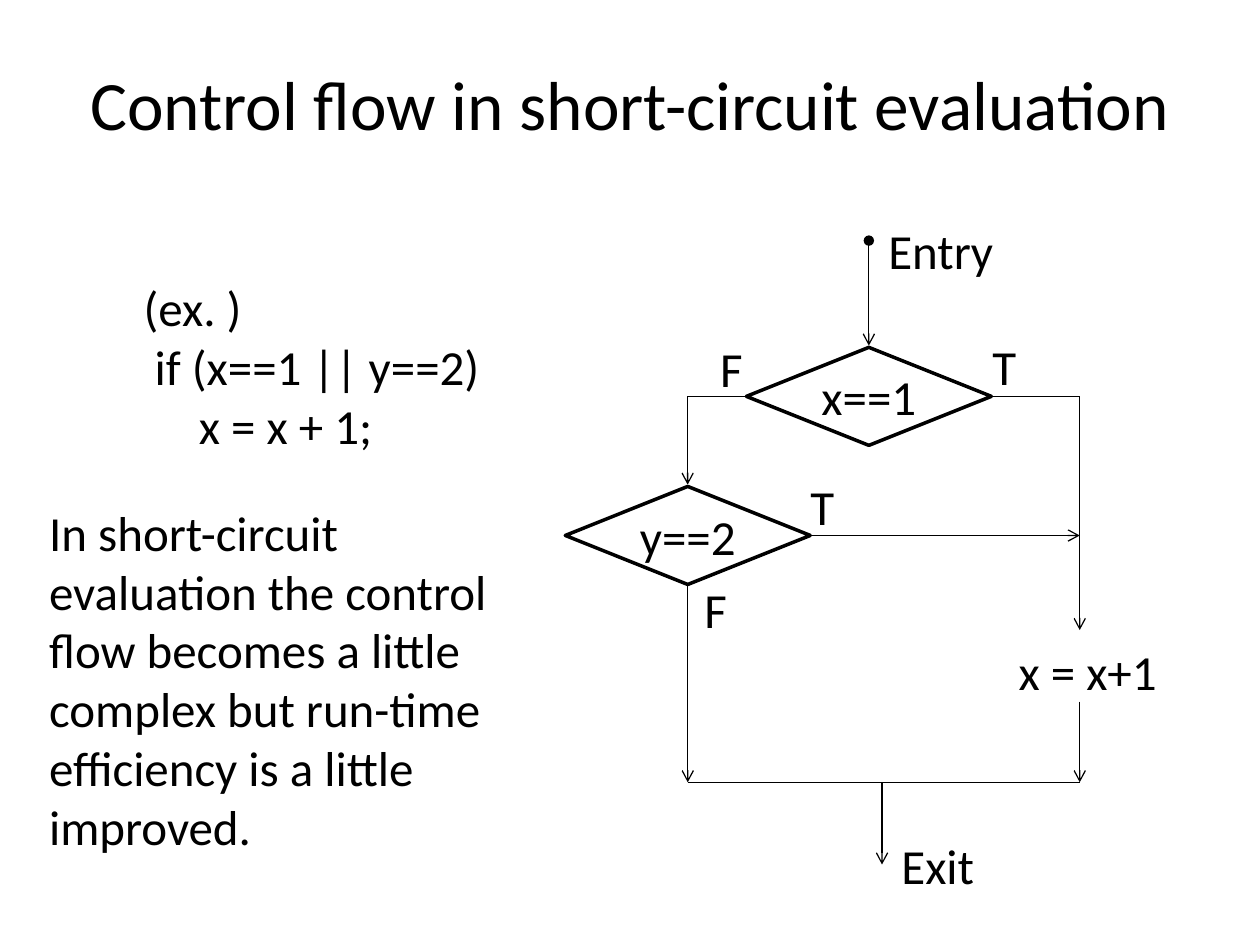
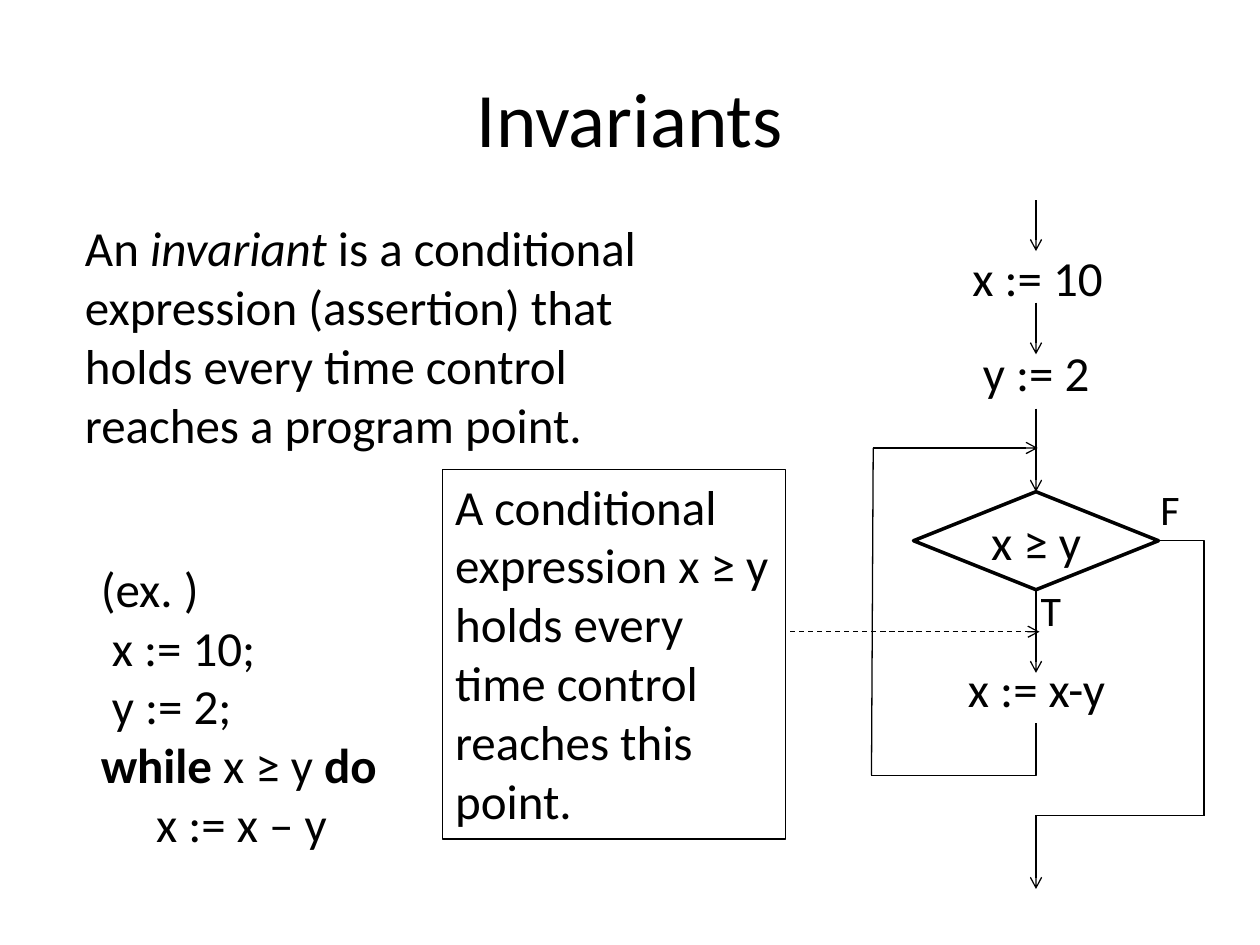
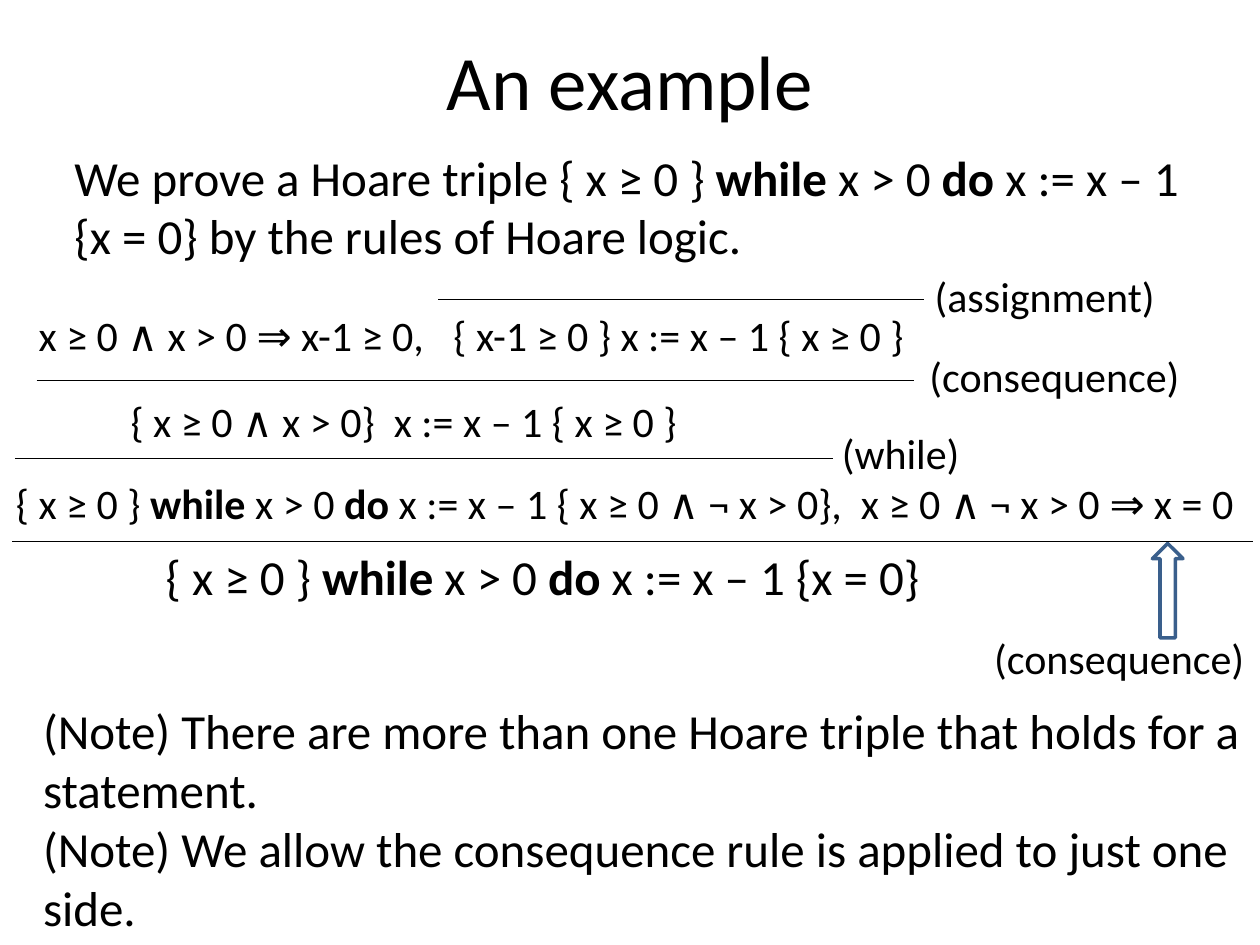
from dataclasses import dataclass

from lxml import etree
from pptx import Presentation
from pptx.dml.color import RGBColor
from pptx.enum.dml import MSO_LINE
from pptx.enum.shapes import MSO_CONNECTOR, MSO_SHAPE
from pptx.enum.text import MSO_ANCHOR, MSO_AUTO_SIZE, PP_ALIGN
from pptx.oxml.ns import qn
from pptx.util import Pt

STRAIGHT, ELBOW = MSO_CONNECTOR.STRAIGHT, MSO_CONNECTOR.ELBOW
DIAMOND, UP_ARROW = MSO_SHAPE.DIAMOND, MSO_SHAPE.UP_ARROW
DASH = MSO_LINE.DASH
MIDDLE = MSO_ANCHOR.MIDDLE
LEFT, CENTER = PP_ALIGN.LEFT, PP_ALIGN.CENTER
FIT_SHAPE = MSO_AUTO_SIZE.SHAPE_TO_FIT_TEXT


@dataclass(frozen=True)
class Theme:
    font: str = "Calibri"
    ink: RGBColor = RGBColor(0, 0, 0)
    accent: RGBColor = RGBColor(0x3A, 0x5F, 0x8C)
    title: float = 44
    long_title: float = 39.6
    body: float = 28
    small: float = 24
    thin: float = 0.75
    thick: float = 2


THEME = Theme()
WHILE, DO = ("while", "bold"), ("do", "bold")


def write(tf, paragraphs, size, align=LEFT):
    """Fill a text frame; a paragraph is a string or a list of strings and (text, style) runs."""
    for i, runs in enumerate(paragraphs):
        p = tf.paragraphs[0] if i == 0 else tf.add_paragraph()
        p.alignment = align
        for run in [runs] if isinstance(runs, str) else runs:
            text, style = (run, None) if isinstance(run, str) else run
            r = p.add_run()
            r.text = text
            r.font.name, r.font.size = THEME.font, Pt(size)
            r.font.color.rgb = THEME.ink
            r.font.bold, r.font.italic = style == "bold", style == "italic"


class Region:
    """Part of a slide whose objects are placed relative to its left top corner."""

    def __init__(self, slide, left=0, top=0):
        self.shapes, self.left, self.top = slide.shapes, left, top

    def place(self, x, y):
        return Pt(self.left + x), Pt(self.top + y)

    def text(self, x, y, width, *paragraphs, size=THEME.body, height=None,
             wrap=False, align=LEFT, border=False):
        height = height or len(paragraphs) * size * 1.22 + 7
        s = self.shapes.add_textbox(*self.place(x, y), Pt(width), Pt(height))
        s.text_frame.word_wrap = wrap
        s.text_frame.auto_size = FIT_SHAPE
        write(s.text_frame, paragraphs, size, align)
        if border:
            s.line.color.rgb, s.line.width = THEME.ink, Pt(THEME.thin)

    def outline(self, kind, x, y, width, height, color):
        s = self.shapes.add_shape(kind, *self.place(x, y), Pt(width), Pt(height))
        s.shadow.inherit = False
        s.fill.background()
        s.line.color.rgb, s.line.width = color, Pt(THEME.thick)
        return s

    def decision(self, x, y, width, height, label):
        tf = self.outline(DIAMOND, x, y, width, height, THEME.ink).text_frame
        tf.word_wrap, tf.vertical_anchor = False, MIDDLE
        write(tf, [label], THEME.body, CENTER)

    def line(self, x1, y1, x2, y2, head=None, tail=None, dash=None, kind=STRAIGHT):
        c = self.shapes.add_connector(kind, *self.place(x1, y1), *self.place(x2, y2))
        c.line.color.rgb, c.line.width = THEME.ink, Pt(THEME.thin)
        if dash:
            c.line.dash_style = dash
        ln = c.line._get_or_add_ln()
        for tag, end in (("a:headEnd", head), ("a:tailEnd", tail)):
            if end:
                etree.SubElement(ln, qn(tag), type=end)
        props = c._element.spPr
        etree.SubElement(props, qn("a:effectLst"))
        return props

    def arrow(self, x1, y1, x2, y2, **ends):
        self.line(x1, y1, x2, y2, tail="arrow", **ends)

    def elbow(self, x1, y1, x2, y2, tail=None):
        """One bend: first across, then up or down."""
        props = self.line(x1, y1, x2, y2, tail=tail, kind=ELBOW)
        props.find(qn("a:prstGeom")).set("prst", "bentConnector2")


def add_slide(prs, title, top, height, size=THEME.title):
    slide = prs.slides.add_slide(prs.slide_layouts[6])
    s = slide.shapes.add_textbox(Pt(36), Pt(top), Pt(648), Pt(height))
    s.text_frame.word_wrap = True
    s.text_frame.vertical_anchor = MIDDLE
    write(s.text_frame, [title], size, CENTER)
    return slide


def short_circuit_chart(slide, left, top):
    chart = Region(slide, left, top)
    width, height = 140, 56
    x_mid, x_top = 173.5, 76.5
    y_mid, y_top = 70, 156
    x_row, y_row = x_top + height / 2, y_top + height / 2
    trunk, merge, exit_x = 294, 325, 181

    chart.arrow(x_mid, 15.5, x_mid, x_top - 1, head="oval")
    chart.decision(x_mid - width / 2, x_top, width, height, "x==1")
    chart.elbow(x_mid - width / 2, x_row, y_mid, y_top - 1, tail="arrow")
    chart.line(x_mid + width / 2, x_row, trunk, x_row)
    chart.arrow(trunk, x_row, trunk, 238)
    chart.decision(y_mid - width / 2, y_top, width, height, "y==2")
    chart.arrow(y_mid + width / 2, y_row, trunk, y_row)
    chart.arrow(y_mid, y_top + height, y_mid, merge)
    chart.arrow(trunk, 279, trunk, merge)
    chart.line(y_mid, merge, trunk, merge)
    chart.arrow(exit_x, merge, exit_x, 372)
    for x, y, w, label in (
        (177.5, 0.5, 76, "Entry"), (185, 352, 57, "Exit"),
        (81.5, 68, 27.5, "F"), (237, 66.5, 28, "T"),
        (133, 146.5, 28, "T"), (72.5, 205.5, 27.5, "F"),
        (252, 241, 94.5, "x = x+1"),
    ):
        chart.text(x, y, w, label)


def while_loop_chart(slide, left, top):
    chart = Region(slide, left, top)
    mid, width, height, test_top = 94, 140, 56, 167
    test_row, test_bottom = test_top + height / 2, test_top + height
    right, loop_top, loop_bottom, exit_row = 190, 142, 329, 352

    for start, end in ((0.5, 29.5), (59, 88.5), (119.5, test_top),
                       (test_bottom, 270.5), (exit_row, 394)):
        chart.arrow(mid, start, mid, end)
    chart.decision(mid - width / 2, test_top, width, height, "x ≥ y")
    chart.elbow(mid + width / 2, test_row, right, exit_row)
    chart.line(right, exit_row, mid, exit_row)
    chart.elbow(0, loop_bottom, mid, 299)
    chart.line(0, loop_bottom, 1, loop_top)
    chart.arrow(1, loop_top, mid + 1, loop_top)
    for x, y, w, label in ((50.5, 24, 90, "x := 10"), (56.5, 78, 76, "y := 2"),
                           (48, 259, 95, "x := x-y")):
        chart.text(x, y, w, label)
    for x, y, label in ((89.5, 216.5, "T"), (158, 159, "F")):
        chart.text(x, y, 26.5, label, size=THEME.small)


def loop_note(slide, left, top):
    note = Region(slide, left, top)
    note.text(0, 0, 196, "A conditional expression x ≥ y holds every time "
              "control reaches this point.", height=211, wrap=True, border=True)
    note.arrow(198.5, 92.5, 341, 92.5, dash=DASH)


def proof_tree(slide, left, top):
    proof = Region(slide, left, top)
    for x1, x2, y in ((250.5, 528, 21), (21, 522, 67.5), (8.5, 476, 112), (7, 716, 159.5)):
        proof.line(x1, y, x2, y)
    for x, y, w, formula in (
        (15, 23.5, 250.5, "x ≥ 0 ∧ x > 0 ⇒ x-1 ≥ 0,"),
        (252, 23.5, 278, "{ x-1 ≥ 0 } x := x – 1 { x ≥ 0 }"),
        (67.5, 72.5, 337, "{ x ≥ 0 ∧ x > 0}  x := x – 1 { x ≥ 0 }"),
    ):
        proof.text(x, y, w, formula, size=THEME.small, wrap=w > 260)
    proof.text(0, 119.5, 714, ["{ x ≥ 0 } ", WHILE, " x > 0 ", DO,
               " x := x – 1 { x ≥ 0 ∧ ¬ x > 0},  x ≥ 0 ∧ ¬ x > 0 ⇒ x = 0"],
               size=THEME.small, align=CENTER)
    proof.text(84, 159, 452, ["{ x ≥ 0 } ", WHILE, " x > 0 ", DO,
               " x := x – 1 {x = 0}"], align=CENTER)
    for x, y, w, rule in (
        (527, 1, 141, "(assignment)"), (524, 46.5, 159, "(consequence)"),
        (474, 91, 83, "(while)"), (561, 208, 159, "(consequence)"),
    ):
        proof.text(x, y, w, rule, size=THEME.small)
    proof.outline(UP_ARROW, 658.5, 160.5, 17.5, 54, THEME.accent)


def short_circuit_slide(prs):
    slide = add_slide(prs, "Control flow in short-circuit evaluation", 21.5, 75,
                      THEME.long_title)
    page = Region(slide)
    page.text(75, 155, 208, "(ex. )", " if (x==1 || y==2)", "     x = x + 1;")
    page.text(21, 283.5, 281.5, "In short-circuit evaluation the control flow becomes "
              "a little complex but run-time efficiency is a little improved.",
              height=211, wrap=True)
    short_circuit_chart(slide, 323, 122)


def invariants_slide(prs):
    slide = add_slide(prs, "Invariants", 21.5, 90)
    page = Region(slide)
    page.text(41.5, 121, 366, ["An ", ("invariant", "italic"),
              " is a conditional expression (assertion) that holds every time "
              "control reaches a program point."], height=143, wrap=True)
    page.text(50.5, 315.5, 175, "(ex. )", " x := 10;", " y := 2;",
              [WHILE, " x ≥ y ", DO], "     x := x – y")
    while_loop_chart(slide, 498, 114)
    loop_note(slide, 253, 268.5)


def example_slide(prs):
    slide = add_slide(prs, "An example", 10, 70.5)
    page = Region(slide)
    page.text(35.5, 80.5, 669.5, ["We prove a Hoare triple { x ≥ 0 } ", WHILE, " x > 0 ", DO,
              " x := x – 1 {x = 0} by the rules of Hoare logic."], height=75, wrap=True)
    proof_tree(slide, 0, 150)
    page.text(17.5, 397, 702.5,
              "(Note) There are more than one Hoare triple that holds for a statement.",
              "(Note) We allow the consequence rule is applied to just one side.",
              height=143, wrap=True)


def main():
    prs = Presentation()
    prs.slide_width, prs.slide_height = Pt(720), Pt(540)
    short_circuit_slide(prs)
    invariants_slide(prs)
    example_slide(prs)
    prs.save("out.pptx")


if __name__ == "__main__":
    main()
